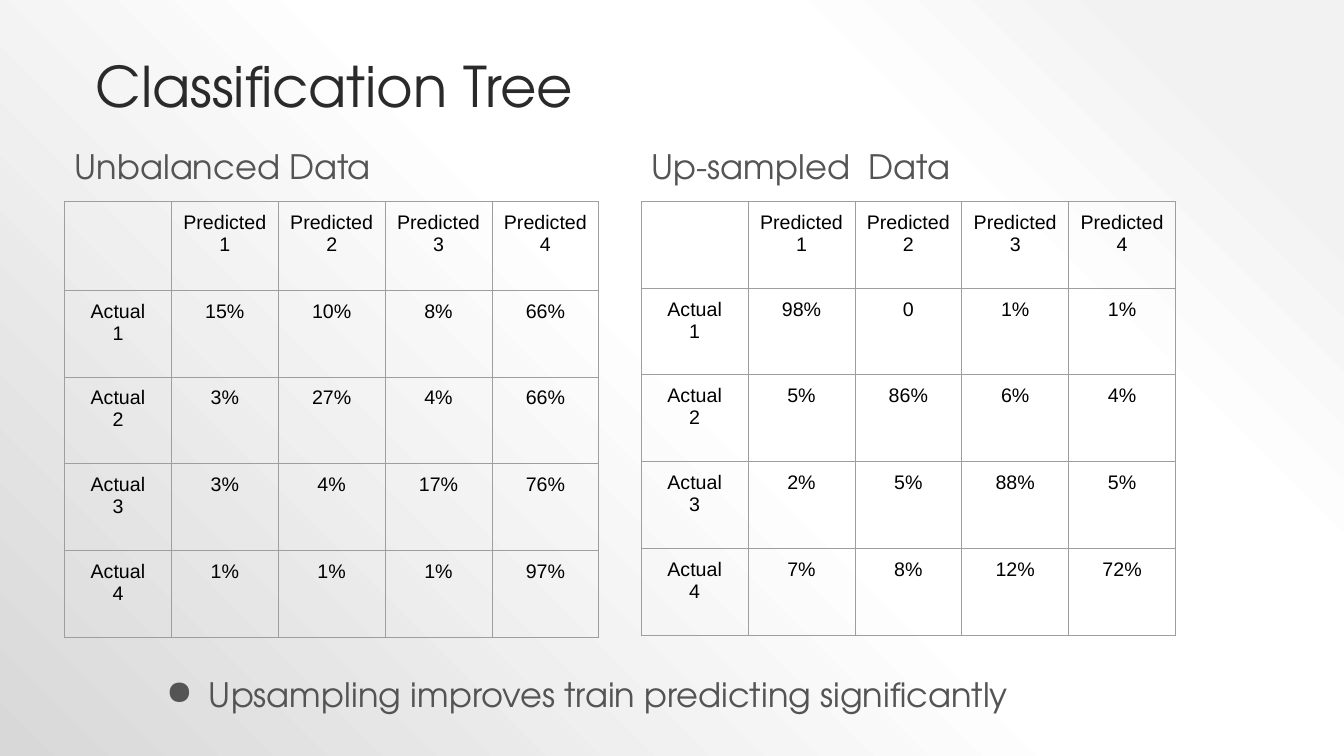
"""Build the classification tree slide with its two confusion matrices."""
from pptx import Presentation
from pptx.dml.color import RGBColor
from pptx.enum.text import MSO_ANCHOR, PP_ALIGN
from pptx.oxml import parse_xml
from pptx.oxml.ns import nsdecls
from pptx.util import Inches, Pt

TITLE_COLOR = RGBColor(0x2A, 0x2A, 0x2A)
TEXT_COLOR = RGBColor(0x54, 0x54, 0x54)
CELL_COLOR = RGBColor(0x00, 0x00, 0x00)
BORDER_COLOR = RGBColor(0x9E, 0x9E, 0x9E)
EDGE_GRAY = RGBColor(0xF2, 0xF2, 0xF2)
WHITE = RGBColor(0xFF, 0xFF, 0xFF)
CORNER_GRAY = RGBColor(0xD8, 0xD8, 0xD8)

BACKGROUND_STOPS = [(0, EDGE_GRAY), (10, EDGE_GRAY), (28, WHITE), (48, WHITE), (100, CORNER_GRAY)]
HEADING_FONT = "TeX Gyre Adventor"
TITLE_FORMAT = {"name": HEADING_FONT, "size": Pt(40)}
BODY_FORMAT = {"name": HEADING_FONT, "size": Pt(24)}
CELL_FORMAT = {"name": "Arial", "size": Pt(14), "bold": False}
MARGINS = ("margin_left", "margin_top", "margin_right", "margin_bottom")
TEXT_INSETS = dict(zip(MARGINS, map(Inches, (0.1, 0.05, 0.1, 0.05))))
EVEN_INSETS = dict.fromkeys(MARGINS, Inches(0.1))

CELL_SIZE = 1.06
ROW_HEIGHT = 0.86
MATRICES = [
    {
        "heading": "Unbalanced Data",
        "left": 0.64,
        "header_height": 0.88,
        "values": [
            ["15%", "10%", "8%", "66%"],
            ["3%", "27%", "4%", "66%"],
            ["3%", "4%", "17%", "76%"],
            ["1%", "1%", "1%", "97%"],
        ],
    },
    {
        "heading": "Up-sampled  Data",
        "left": 6.36,
        "header_height": ROW_HEIGHT,
        "values": [
            ["98%", "0", "1%", "1%"],
            ["5%", "86%", "6%", "4%"],
            ["2%", "5%", "88%", "5%"],
            ["7%", "8%", "12%", "72%"],
        ],
    },
]


def apply_format(target, values):
    """Set every attribute named in the dict of format values."""
    for name, value in values.items():
        setattr(target, name, value)


def set_background(slide):
    """Fill the slide with a gradient centred on its top right corner."""
    stops = "".join(
        f'<a:gs pos="{position * 1000}"><a:srgbClr val="{color}"/></a:gs>'
        for position, color in BACKGROUND_STOPS
    )
    background = parse_xml(
        f'<p:bg {nsdecls("p", "a")}><p:bgPr><a:gradFill rotWithShape="1">'
        f'<a:gsLst>{stops}</a:gsLst><a:path path="circle">'
        '<a:fillToRect l="100000" b="100000"/></a:path></a:gradFill>'
        "<a:effectLst/></p:bgPr></p:bg>"
    )
    slide.element.cSld.insert(0, background)


def add_text(slide, text, box, font_format, color, frame_format, line_spacing=None):
    """Add a text box of one paragraph and return the paragraph."""
    frame = slide.shapes.add_textbox(*map(Inches, box)).text_frame
    apply_format(frame, {"word_wrap": True, **frame_format})
    paragraph = frame.paragraphs[0]
    paragraph.text = text
    paragraph.line_spacing = line_spacing
    apply_format(paragraph.font, font_format)
    paragraph.font.color.rgb = color
    return paragraph


def add_bullet(paragraph):
    """Give the paragraph a round bullet and a hanging indent."""
    properties = paragraph._p.get_or_add_pPr()
    properties.set("marL", str(Inches(0.5)))
    properties.set("indent", str(Inches(-0.42)))
    namespace = nsdecls("a")
    children = [
        f'<a:buClr {namespace}><a:srgbClr val="{TEXT_COLOR}"/></a:buClr>',
        f'<a:buChar {namespace} char="●"/>',
    ]
    for index, child in enumerate(children):
        properties.insert(index, parse_xml(child))


def set_borders(cell):
    """Draw a thin line on the four sides of the cell."""
    properties = cell._tc.get_or_add_tcPr()
    for index, side in enumerate("LRTB"):
        border = parse_xml(
            f'<a:ln{side} {nsdecls("a")} w="{Pt(0.75)}"><a:solidFill>'
            f'<a:srgbClr val="{BORDER_COLOR}"/></a:solidFill></a:ln{side}>'
        )
        properties.insert(index, border)


def fill_cell(cell, text):
    """Write centred text into a bordered cell without fill."""
    cell.text = text
    cell.fill.background()
    apply_format(cell, EVEN_INSETS)
    set_borders(cell)
    for paragraph in cell.text_frame.paragraphs:
        paragraph.alignment = PP_ALIGN.CENTER
        apply_format(paragraph.font, CELL_FORMAT)
        paragraph.font.color.rgb = CELL_COLOR


def add_matrix(slide, left, header_height, values):
    """Add a confusion matrix of actual against predicted classes."""
    header = [""] + [f"Predicted\n{number}" for number in range(1, 5)]
    body = [[f"Actual\n{number}", *row] for number, row in enumerate(values, 1)]
    rows = [header, *body]
    count = len(rows)
    box = (left, 2, CELL_SIZE * count, header_height + ROW_HEIGHT * len(body))
    table = slide.shapes.add_table(count, count, *map(Inches, box)).table
    apply_format(table, {"first_row": False, "horz_banding": False})
    for column in table.columns:
        column.width = Inches(CELL_SIZE)
    for index, row in enumerate(rows):
        table.rows[index].height = Inches(ROW_HEIGHT if index else header_height)
        for position, text in enumerate(row):
            fill_cell(table.cell(index, position), text)


def main():
    """Build and save the slide."""
    presentation = Presentation()
    apply_format(presentation, {"slide_width": Inches(13.33), "slide_height": Inches(7.5)})
    slide = presentation.slides.add_slide(presentation.slide_layouts[6])
    set_background(slide)
    title_frame = {**TEXT_INSETS, "vertical_anchor": MSO_ANCHOR.BOTTOM}
    add_text(slide, "Classification Tree", (0.85, 0.32, 10.67, 0.92),
             TITLE_FORMAT, TITLE_COLOR, title_frame, 0.9)
    for matrix in MATRICES:
        add_text(slide, matrix["heading"], (matrix["left"], 1.39, 3.23, 0.55),
                 BODY_FORMAT, TEXT_COLOR, EVEN_INSETS, 0.9)
        add_matrix(slide, matrix["left"], matrix["header_height"], matrix["values"])
    conclusion = add_text(slide, "Upsampling improves train predicting significantly",
                          (1.47, 6.64, 8.7, 0.68), BODY_FORMAT, TEXT_COLOR, TEXT_INSETS)
    add_bullet(conclusion)
    presentation.save("out.pptx")


if __name__ == "__main__":
    main()
